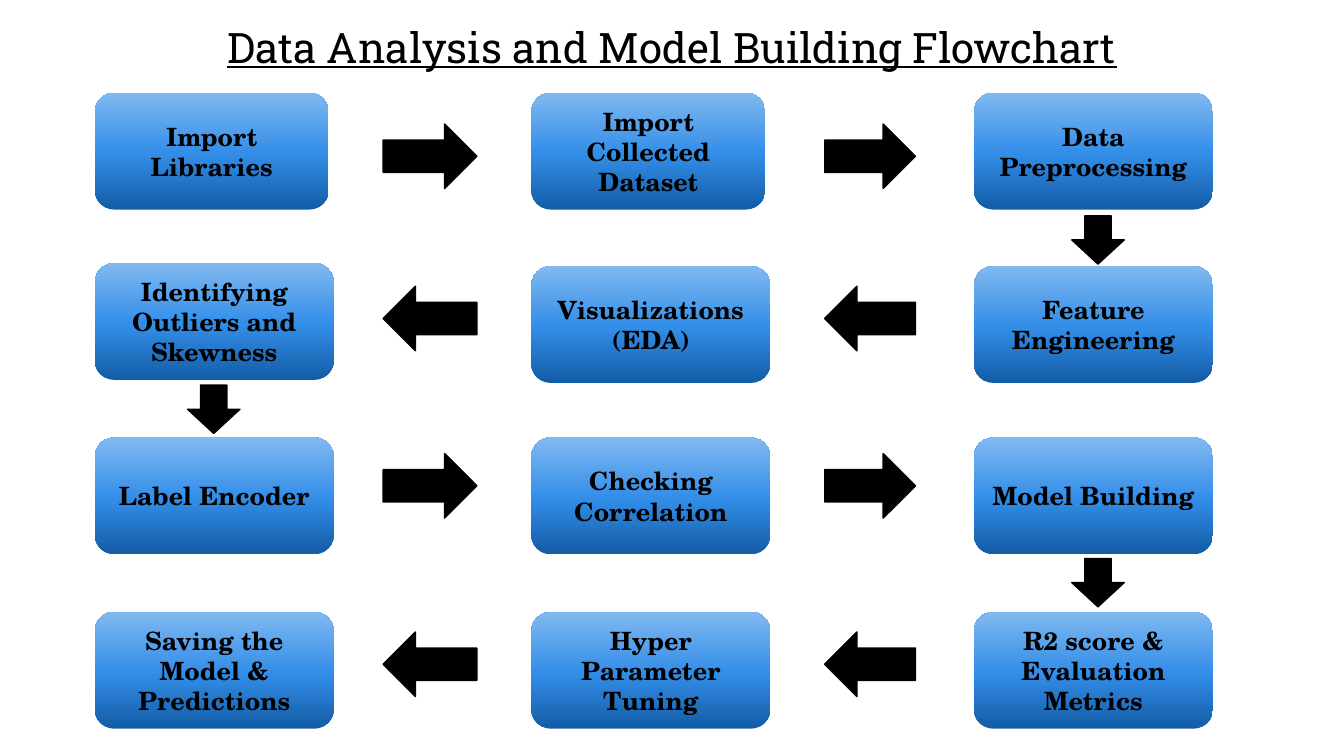
from copy import deepcopy
from dataclasses import dataclass

from pptx import Presentation
from pptx.dml.color import RGBColor
from pptx.enum.shapes import MSO_SHAPE
from pptx.enum.text import MSO_ANCHOR, MSO_AUTO_SIZE, PP_ALIGN
from pptx.oxml.ns import qn
from pptx.util import Inches, Pt


@dataclass(frozen=True)
class Theme:
    ink: str = "000000"
    background: str = "FFFFFF"
    box_gradient: tuple = ((0, "135CA6"), (0.48, "338EE8"), (1, "81B9F1"))
    title_font: str = "Roboto Slab"
    box_font: str = "TeX Gyre Schola"
    title_size: int = 30
    box_size: int = 18
    line_width: int = 1


def write_text(frame, text, *, font, size, color, bold=False, underline=False,
               anchor=MSO_ANCHOR.MIDDLE):
    """Fill a text frame with centred text; each line becomes a paragraph."""
    frame.text = text
    frame.word_wrap = True
    frame.vertical_anchor = anchor
    for paragraph in frame.paragraphs:
        paragraph.alignment = PP_ALIGN.CENTER
        for run in paragraph.runs:
            run.font.name = font
            run.font.size = Pt(size)
            run.font.bold = bold
            run.font.underline = underline
            run.font.color.rgb = RGBColor.from_string(color)


class FlowchartSlide:
    def __init__(self, presentation, theme):
        self.theme = theme
        self.slide = presentation.slides.add_slide(presentation.slide_layouts[5])
        background = self.slide.background.fill
        background.solid()
        background.fore_color.rgb = RGBColor.from_string(theme.background)

    def add_title(self, text, left, top, width, height):
        title = self.slide.shapes.title
        title.left, title.top = Inches(left), Inches(top)
        title.width, title.height = Inches(width), Inches(height)
        write_text(title.text_frame, text, font=self.theme.title_font,
                   size=self.theme.title_size, color=self.theme.ink,
                   underline=True, anchor=MSO_ANCHOR.TOP)
        title.text_frame.auto_size = MSO_AUTO_SIZE.SHAPE_TO_FIT_TEXT

    def add_shape(self, kind, left, top, width, height):
        shape = self.slide.shapes.add_shape(
            kind, Inches(left), Inches(top), Inches(width), Inches(height))
        shape.shadow.inherit = False
        return shape

    def add_arrow(self, kind, left, top, width, height):
        arrow = self.add_shape(kind, left, top, width, height)
        ink = RGBColor.from_string(self.theme.ink)
        arrow.fill.solid()
        arrow.fill.fore_color.rgb = ink
        arrow.line.color.rgb = ink
        arrow.line.width = Pt(self.theme.line_width)

    def add_box(self, text, left, top, width, height):
        box = self.add_shape(MSO_SHAPE.FLOWCHART_ALTERNATE_PROCESS,
                             left, top, width, height)
        box.line.fill.background()
        box.fill.gradient()
        box.fill.gradient_angle = 90
        stop_list = box.element.spPr.find(".//" + qn("a:gsLst"))
        stop_list.append(deepcopy(stop_list[0]))
        for stop, (position, color) in zip(box.fill.gradient_stops,
                                           self.theme.box_gradient):
            stop.position = position
            stop.color.rgb = RGBColor.from_string(color)
        write_text(box.text_frame, text, font=self.theme.box_font,
                   size=self.theme.box_size, color=self.theme.ink, bold=True)


SLIDE_WIDTH, SLIDE_HEIGHT = 13.33, 7.5
COLUMN_LEFTS = (0.94, 5.27, 9.66)
ROW_TOPS = (0.92, 2.64, 4.34, 6.07)
BOX_WIDTH, BOX_HEIGHT = 2.37, 1.16
STEPS = (
    ("Import Libraries", "Import Collected Dataset", "Data Preprocessing"),
    ("Identifying Outliers and Skewness", "Visualizations\n(EDA)",
     "Feature Engineering"),
    ("Label Encoder", "Checking Correlation", "Model Building"),
    ("Saving the Model & Predictions", "Hyper Parameter Tuning",
     "R2 score & Evaluation Metrics"),
)
NARROW_BOXES = {"Import Libraries": 2.32, "Import Collected Dataset": 2.32}
RAISED_BOXES = {"Identifying Outliers and Skewness": 2.61}

SIDE_ARROW_COLUMNS = ((3.8, 0.93), (8.18, 0.9))
SIDE_ARROW_TOPS = (1.23, 2.84, 4.5, 6.27)
SIDE_ARROW_HEIGHT = 0.64
DOWN_ARROWS = ((10.63, 2.14), (1.86, 3.82), (10.63, 5.54))
DOWN_ARROW_WIDTH, DOWN_ARROW_HEIGHT = 0.52, 0.48


def main():
    presentation = Presentation()
    presentation.slide_width = Inches(SLIDE_WIDTH)
    presentation.slide_height = Inches(SLIDE_HEIGHT)
    flowchart = FlowchartSlide(presentation, Theme())
    flowchart.add_title("Data Analysis and Model Building Flowchart",
                        0, 0.16, SLIDE_WIDTH, 0.61)

    for row, top in enumerate(SIDE_ARROW_TOPS):
        kind = MSO_SHAPE.LEFT_ARROW if row % 2 else MSO_SHAPE.RIGHT_ARROW
        for left, width in SIDE_ARROW_COLUMNS:
            flowchart.add_arrow(kind, left, top, width, SIDE_ARROW_HEIGHT)
    for left, top in DOWN_ARROWS:
        flowchart.add_arrow(MSO_SHAPE.DOWN_ARROW, left, top,
                            DOWN_ARROW_WIDTH, DOWN_ARROW_HEIGHT)

    for row_top, row_steps in zip(ROW_TOPS, STEPS):
        for left, step in zip(COLUMN_LEFTS, row_steps):
            flowchart.add_box(step, left, RAISED_BOXES.get(step, row_top),
                              NARROW_BOXES.get(step, BOX_WIDTH), BOX_HEIGHT)

    presentation.save("out.pptx")


if __name__ == "__main__":
    main()
